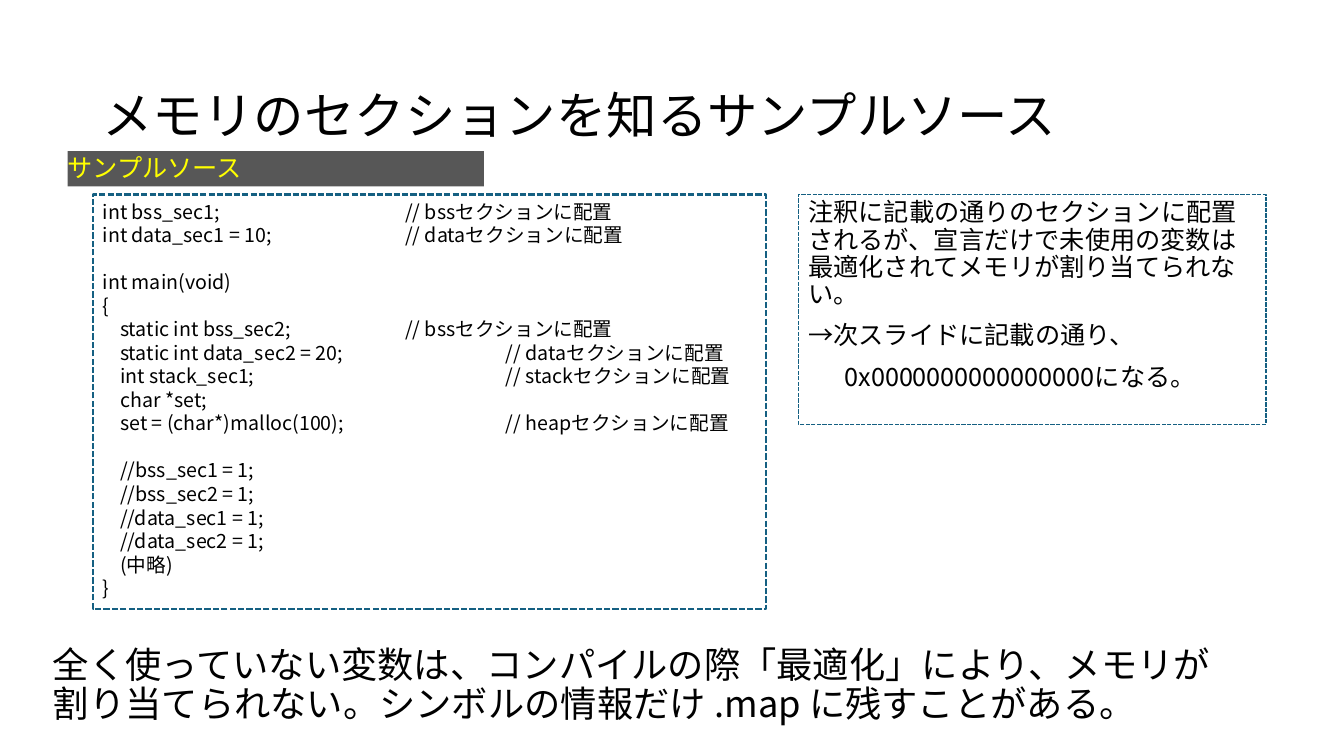
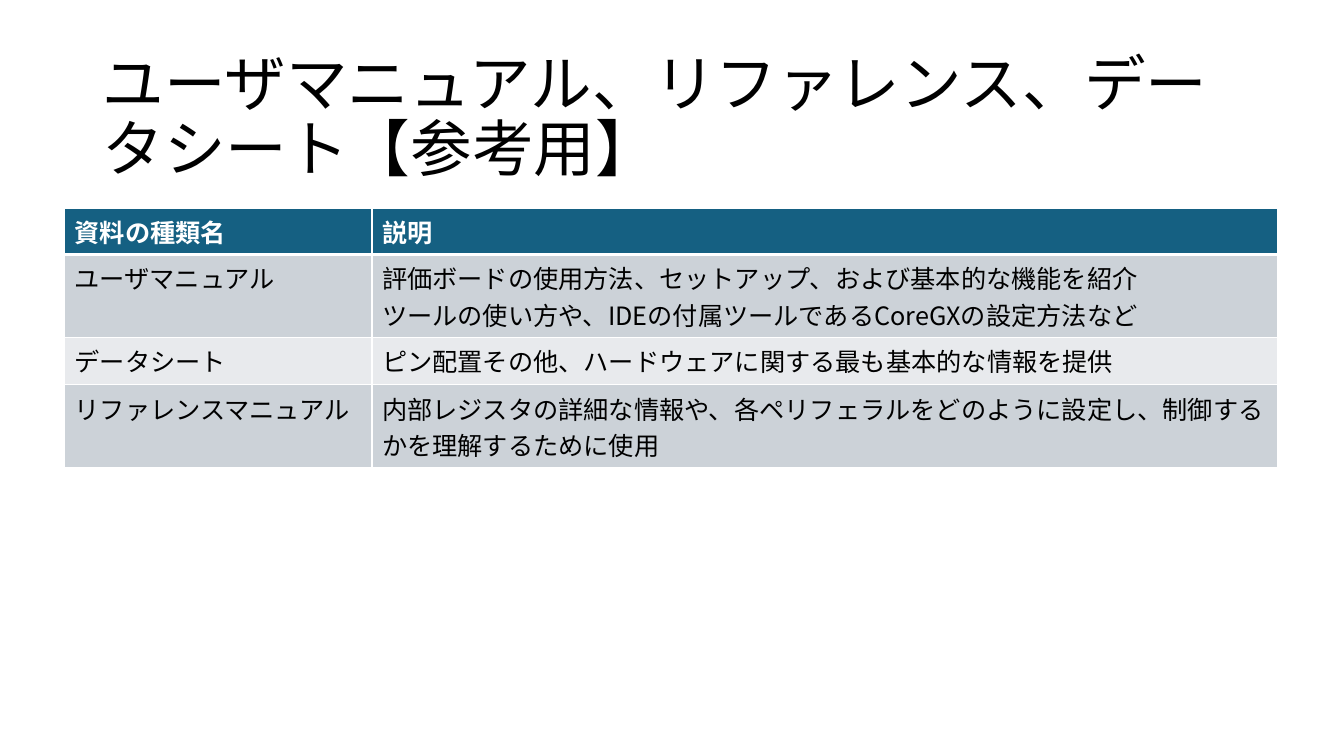
from pptx import Presentation
from pptx.dml.color import RGBColor
from pptx.enum.dml import MSO_LINE_DASH_STYLE as Dash
from pptx.enum.shapes import MSO_SHAPE as Shape
from pptx.enum.text import MSO_ANCHOR as Anchor, PP_ALIGN as Align
from pptx.oxml import parse_xml
from pptx.oxml.ns import nsdecls
from pptx.util import Inches, Pt

FONT = "Noto Sans CJK JP"
BLACK = RGBColor(0x00, 0x00, 0x00)
WHITE = RGBColor(0xFF, 0xFF, 0xFF)
YELLOW = RGBColor(0xFF, 0xFF, 0x00)
TEAL = RGBColor(0x15, 0x60, 0x82)
BAND_DARK = RGBColor(0xCC, 0xD2, 0xD8)
BAND_LIGHT = RGBColor(0xE8, 0xEA, 0xED)

presentation = Presentation()
presentation.slide_width = Inches(13.33)
presentation.slide_height = Inches(7.5)
COLUMN = presentation.slide_width / 100
ROW = presentation.slide_height / 100


def place(left, top, width, height):
    return int(left * COLUMN), int(top * ROW), int(width * COLUMN), int(height * ROW)


def write(paragraph, text, size, color=BLACK, bold=False, spacing=None):
    paragraph.alignment = Align.LEFT
    if spacing:
        paragraph.line_spacing = Pt(spacing)
    run = paragraph.add_run()
    run.text = text
    run.font.size = Pt(size)
    run.font.bold = bold
    run.font.color.rgb = color
    run.font.name = FONT
    run.font._element.append(parse_xml(f'<a:ea {nsdecls("a")} typeface="{FONT}"/>'))


title_layout = presentation.slide_layouts[5]
slides = []
for title_text, size, spacing in [
    ("メモリのセクションを知るサンプルソース", 36, 38),
    ("ユーザマニュアル、リファレンス、データシート【参考用】", 44, 46.4),
]:
    slide = presentation.slides.add_slide(title_layout)
    title = slide.shapes.title
    title.left, title.top, title.width, title.height = place(6.88, 6, 86.25, 19.33)
    title.text_frame.vertical_anchor = Anchor.MIDDLE
    title.text_frame.word_wrap = True
    write(title.text_frame.paragraphs[0], title_text, size, spacing=spacing)
    slides.append(slide)
source_slide, manual_slide = slides

label = source_slide.shapes.add_shape(Shape.RECTANGLE, *place(5.03, 20, 30.97, 4.67))
label.shadow.inherit = False
label.fill.solid()
label.fill.fore_color.rgb = BLACK
label.fill._xPr.find(".//{*}srgbClr").append(
    parse_xml(f'<a:alpha {nsdecls("a")} val="66000"/>'))
label.line.fill.background()
frame = label.text_frame
frame.margin_left = frame.margin_right = frame.margin_top = frame.margin_bottom = 0
frame.vertical_anchor = Anchor.MIDDLE
frame.word_wrap = False
write(frame.paragraphs[0], "サンプルソース", 18, YELLOW, spacing=19.5)

panels = []
for position, line_width in [
    ((6.9, 25.73, 50.1, 54.8), 1.5),
    ((59.4, 25.73, 34.8, 30.4), 1),
]:
    panel = source_slide.shapes.add_shape(Shape.RECTANGLE, *place(*position))
    panel.shadow.inherit = False
    panel.fill.background()
    panel.line.color.rgb = TEAL
    panel.line.width = Pt(line_width)
    panel.line.dash_style = Dash.SQUARE_DOT
    panel.text_frame.vertical_anchor = Anchor.TOP
    panel.text_frame.word_wrap = True
    panels.append(panel.text_frame)
code_frame, note_frame = panels

CODE_LINE = 16.8
code_blocks = [
    [
        ("int bss_sec1;\t// bssセクションに配置", 3),
        ("int data_sec1 = 10;\t// dataセクションに配置", 3),
    ],
    [
        ("int main(void)", 3),
        ("{", 3),
        ("    static int bss_sec2;\t// bssセクションに配置", 3),
        ("    static int data_sec2 = 20;\t// dataセクションに配置", 4),
        ("    int stack_sec1; \t// stackセクションに配置", 4),
        ("    char *set;", 3),
        ("    set = (char*)malloc(100);\t// heapセクションに配置", 4),
    ],
    [
        ("    //bss_sec1 = 1;", 3),
        ("    //bss_sec2 = 1;", 3),
        ("    //data_sec1 = 1;", 3),
        ("    //data_sec2 = 1;", 3),
        ("    (中略)", 3),
        ("}", 3),
    ],
]
paragraph = code_frame.paragraphs[0]
for block_number, block in enumerate(code_blocks):
    for line_number, (code, comment_stop) in enumerate(block):
        if block_number or line_number:
            paragraph = code_frame.add_paragraph()
        if "\t" in code:
            paragraph._p.get_or_add_pPr().append(parse_xml(
                f'<a:tabLst {nsdecls("a")}>'
                f'<a:tab pos="{Inches(comment_stop)}" algn="l"/></a:tabLst>'))
        if block_number and line_number == 0:
            paragraph.space_before = Pt(CODE_LINE)
        write(paragraph, code, 14, spacing=CODE_LINE)

notes = [
    ("注釈に記載の通りのセクションに配置されるが、宣言だけで未使用の変数は最適化されてメモリが割り当てられない。", 0),
    ("→次スライドに記載の通り、", 0),
    ("0x0000000000000000になる。", 0.36),
]
for number, (text, indent) in enumerate(notes):
    paragraph = note_frame.add_paragraph() if number else note_frame.paragraphs[0]
    if number:
        paragraph.space_before = Pt(10)
    paragraph._p.get_or_add_pPr().set("marL", str(Inches(indent)))
    write(paragraph, text, 18, spacing=19.5)

conclusion = source_slide.shapes.add_textbox(*place(3.2, 85, 89.85, 13.07))
conclusion.text_frame.word_wrap = True
write(
    conclusion.text_frame.paragraphs[0],
    "全く使っていない変数は、コンパイルの際「最適化」により、メモリが割り当てられない。"
    "シンボルの情報だけ .map に残すことがある。",
    25.9, spacing=27.5)

manual_rows = [
    ("資料の種類名", ["説明"]),
    ("ユーザマニュアル", [
        "評価ボードの使用方法、セットアップ、および基本的な機能を紹介",
        "ツールの使い方や、IDEの付属ツールであるCoreGXの設定方法など",
    ]),
    ("データシート", ["ピン配置その他、ハードウェアに関する最も基本的な情報を提供"]),
    ("リファレンスマニュアル", [
        "内部レジスタの詳細な情報や、各ペリフェラルをどのように設定し、制御するかを理解するために使用",
    ]),
]
table = manual_slide.shapes.add_table(
    len(manual_rows), 2, *place(4.8, 27.5, 90.24, 34)).table
for column, share in zip(table.columns, (22.88, 67.36)):
    column.width = int(share * COLUMN)
for row, share in zip(table.rows, (6, 10.9, 6.25, 10.9)):
    row.height = int(share * ROW)

for row_number, (kind, descriptions) in enumerate(manual_rows):
    is_header = row_number == 0
    for column_number, lines in enumerate(([kind], descriptions)):
        cell = table.cell(row_number, column_number)
        cell.fill.solid()
        cell.fill.fore_color.rgb = (
            TEAL if is_header else BAND_DARK if row_number % 2 else BAND_LIGHT)
        for number, text in enumerate(lines):
            frame = cell.text_frame
            paragraph = frame.add_paragraph() if number else frame.paragraphs[0]
            write(paragraph, text, 18, WHITE if is_header else BLACK, is_header)
        properties = cell._tc.get_or_add_tcPr()
        for index, side in enumerate("LRTB"):
            thick = (is_header and side == "B") or (row_number == 1 and side == "T")
            properties.insert(index, parse_xml(
                f'<a:ln{side} {nsdecls("a")} w="{Pt(3 if thick else 1)}">'
                f'<a:solidFill><a:srgbClr val="{WHITE}"/></a:solidFill></a:ln{side}>'))

presentation.save("out.pptx")
